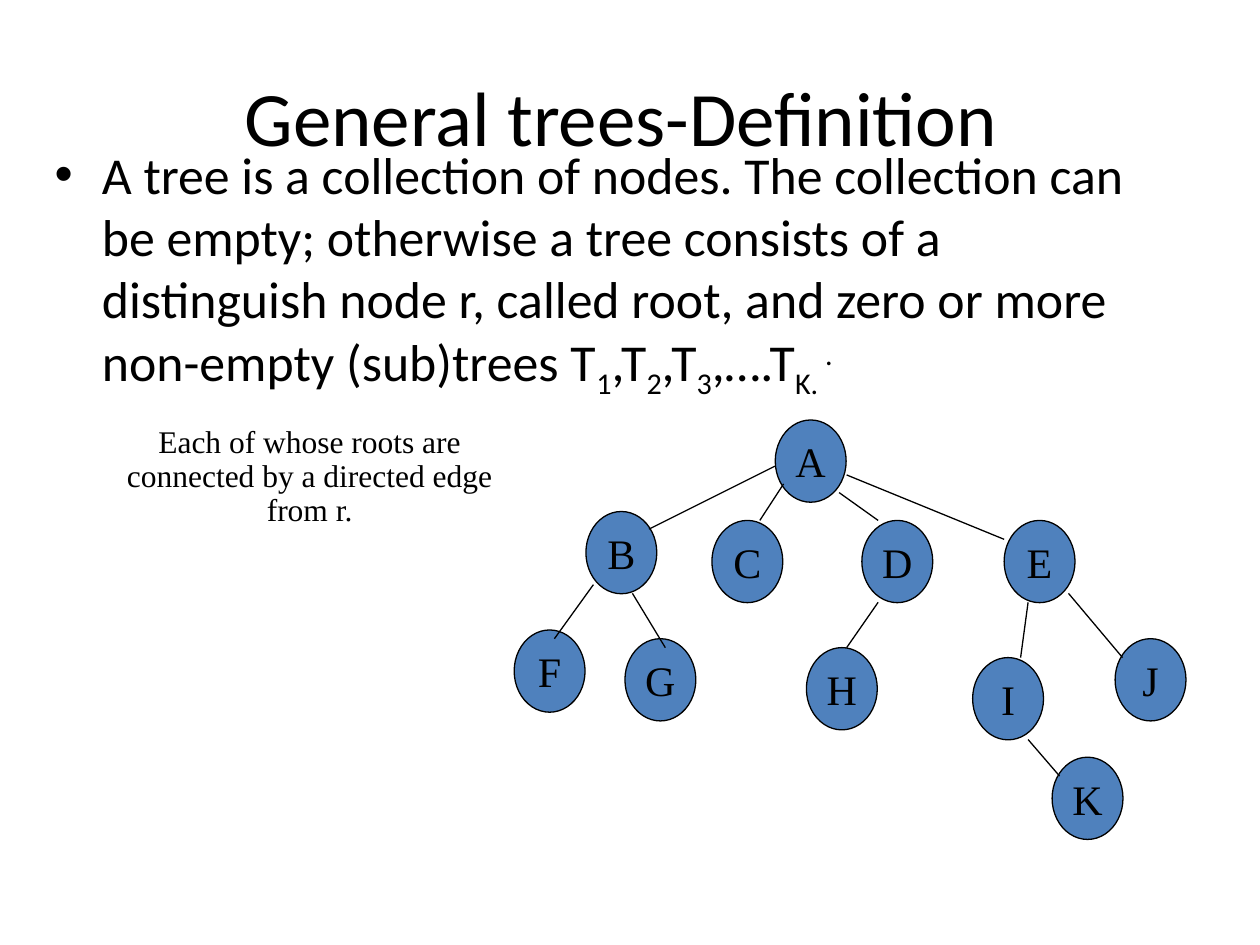
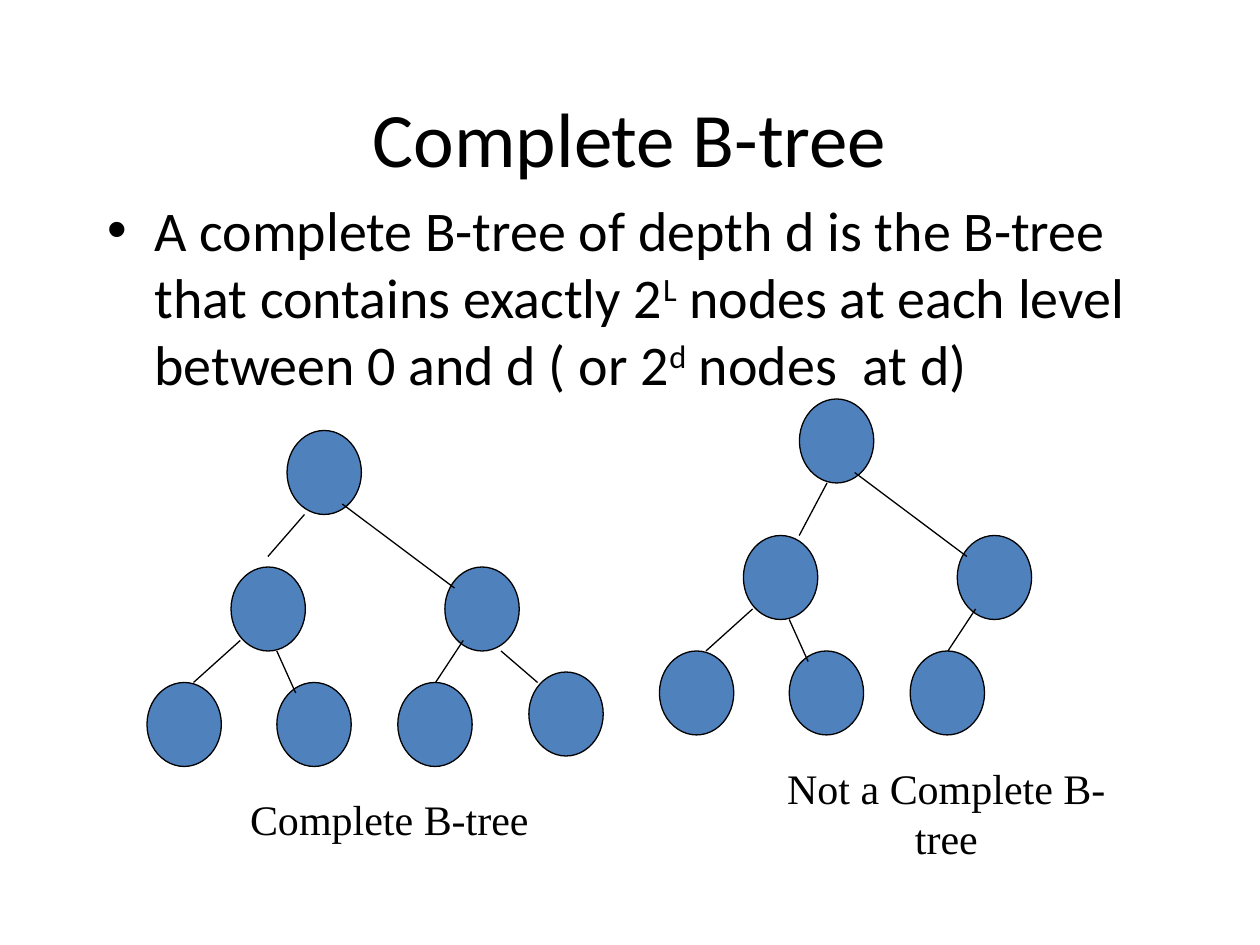
from dataclasses import dataclass
from typing import NamedTuple

import pptx
import pptx.dml.color
import pptx.enum.shapes
import pptx.enum.text
import pptx.oxml
import pptx.oxml.ns
import pptx.util
from pptx.util import Pt

COLOURS = {"ink": "000000", "node": "4F81BD"}
HEADING_FONT = "Calibri"
DIAGRAM_FONT = "Times New Roman"
LINE_WIDTH = 0.75
SUBSCRIPT, SUPERSCRIPT = -25000, 30000


class Box(NamedTuple):
    left: float
    top: float
    width: float
    height: float


class Node(NamedTuple):
    left: float
    top: float
    label: str = ""


class Edge(NamedTuple):
    start_x: float
    start_y: float
    end_x: float
    end_y: float


class Piece(NamedTuple):
    text: str
    baseline: int = 0


@dataclass(frozen=True)
class Tree:
    """Nodes and edges, measured from the tree's own origin."""
    nodes: list[Node]
    edges: list[Edge]
    node_width: float
    node_height: float
    left: float = 0
    top: float = 0


@dataclass(frozen=True)
class Caption:
    text: str
    box: Box
    size: float = 24
    wrap: bool = True
    line_spacing: float = 1.0


@dataclass(frozen=True)
class TreeSlide:
    title: str
    title_box: Box
    body: list[Piece]
    body_box: Box
    body_size: float
    trees: list[Tree]
    captions: list[Caption]


GENERAL_TREE = Tree(
    nodes=[
        Node(443, 240, "A"),
        Node(334.8, 292.3, "B"), Node(406.8, 297.4, "C"),
        Node(492.5, 297.4, "D"), Node(573.8, 297.4, "E"),
        Node(293.8, 360, "F"), Node(357.1, 365, "G"), Node(460.8, 370.1, "H"),
        Node(555.8, 375.8, "I"), Node(637.2, 365, "J"),
        Node(601.2, 432.7, "K"),
    ],
    edges=[
        Edge(442.8, 266.4, 370.8, 302.4), Edge(447.8, 276.5, 434.2, 297.4),
        Edge(479.5, 281.5, 501.8, 297.4), Edge(483.8, 271.4, 573.8, 308.2),
        Edge(339.1, 334.1, 316.8, 365), Edge(361.4, 339.1, 380.2, 370.1),
        Edge(501.8, 344.2, 483.8, 370.1), Edge(587.5, 344.2, 583.2, 375.8),
        Edge(610.6, 339.1, 641.5, 375.8), Edge(587.5, 422.6, 605.5, 443.5),
    ],
    node_width=40.5,
    node_height=47,
)

# Both binary trees share these parts; only the complete one has a last leaf.
BINARY_NODES = [
    Node(80, 0), Node(48, 78), Node(170.2, 78),
    Node(0, 144), Node(74.2, 144), Node(143.3, 144),
]
BINARY_EDGES = [
    Edge(111.6, 42, 175.7, 90), Edge(53.3, 120, 26.6, 144),
    Edge(74.2, 126, 85, 150), Edge(180.7, 120, 164.9, 144),
]


def binary_tree(left: float, top: float, nodes: list[Node],
                edges: list[Edge]) -> Tree:
    return Tree(BINARY_NODES + nodes, BINARY_EDGES + edges, 42.5, 48, left, top)


SLIDES = [
    TreeSlide(
        title="General trees-Definition ",
        title_box=Box(54, 36, 612, 90),
        body=[
            Piece("A tree is a collection of nodes. The collection can be empty; "
                  "otherwise a tree consists of a distinguish node r, called root, "
                  "and zero or more non-empty (sub)trees T"),
            Piece("1", SUBSCRIPT), Piece(",T"),
            Piece("2", SUBSCRIPT), Piece(",T"),
            Piece("3", SUBSCRIPT), Piece(",….T"),
            Piece("K.", SUBSCRIPT), Piece(" .", SUPERSCRIPT),
        ],
        body_box=Box(24, 78, 642, 162),
        body_size=29.6,
        trees=[GENERAL_TREE],
        captions=[
            Caption("Each of whose roots are connected by a directed edge from r.",
                    Box(54, 240, 246, 85.5), size=18, line_spacing=0.9),
        ],
    ),
    TreeSlide(
        title="Complete B-tree",
        title_box=Box(54, 48, 612, 90),
        body=[
            Piece("A complete B-tree of depth d is the B-tree that contains exactly 2"),
            Piece("L", SUPERSCRIPT),
            Piece(" nodes at each level between 0 and d ( or 2"),
            Piece("d", SUPERSCRIPT),
            Piece(" nodes  at d)"),
        ],
        body_box=Box(54, 108, 612, 138),
        body_size=32,
        trees=[
            binary_tree(84, 246, [Node(218.2, 138)],
                        [Edge(90, 48, 69.1, 72), Edge(202.3, 126, 223.2, 144)]),
            binary_tree(376.8, 228, [], [Edge(95.8, 48, 79.9, 78)]),
        ],
        captions=[
            Caption("Complete B-tree", Box(111, 450, 223, 36)),
            Caption("Not a Complete B-tree", Box(424.8, 432, 232, 36), wrap=False),
        ],
    ),
]


def colour(name: str) -> pptx.dml.color.RGBColor:
    return pptx.dml.color.RGBColor.from_string(COLOURS[name])


def style_paragraph(paragraph, font_name: str, size: float,
                    centred: bool = True) -> None:
    if centred:
        paragraph.alignment = pptx.enum.text.PP_ALIGN.CENTER
    paragraph.space_before = Pt(0)
    paragraph.font.name = font_name
    paragraph.font.size = Pt(size)
    paragraph.font.color.rgb = colour("ink")


def place_placeholder(shape, box: Box) -> None:
    shape.left, shape.top, shape.width, shape.height = map(Pt, box)
    shape.text_frame.auto_size = pptx.enum.text.MSO_AUTO_SIZE.NONE
    shape.text_frame.vertical_anchor = pptx.enum.text.MSO_ANCHOR.TOP


def add_title(slide, text: str, box: Box) -> None:
    title = slide.shapes.title
    place_placeholder(title, box)
    title.text_frame.text = text
    style_paragraph(title.text_frame.paragraphs[0], HEADING_FONT, 44)


def add_body(slide, pieces: list[Piece], box: Box, size: float) -> None:
    body = slide.placeholders[1]
    place_placeholder(body, box)
    paragraph = body.text_frame.paragraphs[0]
    for piece in pieces:
        run = paragraph.add_run()
        run.text = piece.text
        if piece.baseline:
            run._r.get_or_add_rPr().set("baseline", str(piece.baseline))
    style_paragraph(paragraph, HEADING_FONT, size, centred=False)


def add_node(shapes, tree: Tree, node: Node) -> None:
    ellipse = shapes.add_shape(
        pptx.enum.shapes.MSO_SHAPE.OVAL,
        Pt(tree.left + node.left), Pt(tree.top + node.top),
        Pt(tree.node_width), Pt(tree.node_height))
    ellipse.shadow.inherit = False
    ellipse.fill.solid()
    ellipse.fill.fore_color.rgb = colour("node")
    ellipse.line.color.rgb = colour("ink")
    ellipse.line.width = Pt(LINE_WIDTH)
    if node.label:
        frame = ellipse.text_frame
        frame.word_wrap = False
        frame.vertical_anchor = pptx.enum.text.MSO_ANCHOR.MIDDLE
        frame.text = node.label
        style_paragraph(frame.paragraphs[0], DIAGRAM_FONT, 24)


def add_edge(shapes, tree: Tree, edge: Edge) -> None:
    connector = shapes.add_connector(
        pptx.enum.shapes.MSO_CONNECTOR.STRAIGHT,
        Pt(tree.left + edge.start_x), Pt(tree.top + edge.start_y),
        Pt(tree.left + edge.end_x), Pt(tree.top + edge.end_y))
    connector.line.color.rgb = colour("ink")
    connector.line.width = Pt(LINE_WIDTH)
    connector._element.spPr.append(
        pptx.oxml.parse_xml(f"<a:effectLst {pptx.oxml.ns.nsdecls('a')}/>"))


def add_tree(slide, tree: Tree) -> None:
    shapes = slide.shapes.add_group_shape().shapes
    for node in tree.nodes:
        add_node(shapes, tree, node)
    for edge in tree.edges:
        add_edge(shapes, tree, edge)


def add_caption(slide, caption: Caption) -> None:
    frame = slide.shapes.add_textbox(*map(Pt, caption.box)).text_frame
    frame.word_wrap = caption.wrap
    frame.text = caption.text
    paragraph = frame.paragraphs[0]
    style_paragraph(paragraph, DIAGRAM_FONT, caption.size)
    paragraph.line_spacing = caption.line_spacing


def add_tree_slide(presentation, content: TreeSlide) -> None:
    slide = presentation.slides.add_slide(presentation.slide_layouts[1])
    add_title(slide, content.title, content.title_box)
    add_body(slide, content.body, content.body_box, content.body_size)
    for tree in content.trees:
        add_tree(slide, tree)
    for caption in content.captions:
        add_caption(slide, caption)


def main() -> None:
    presentation = pptx.Presentation()
    presentation.slide_width = Pt(720)
    presentation.slide_height = Pt(540)
    for content in SLIDES:
        add_tree_slide(presentation, content)
    presentation.save("out.pptx")


if __name__ == "__main__":
    main()
